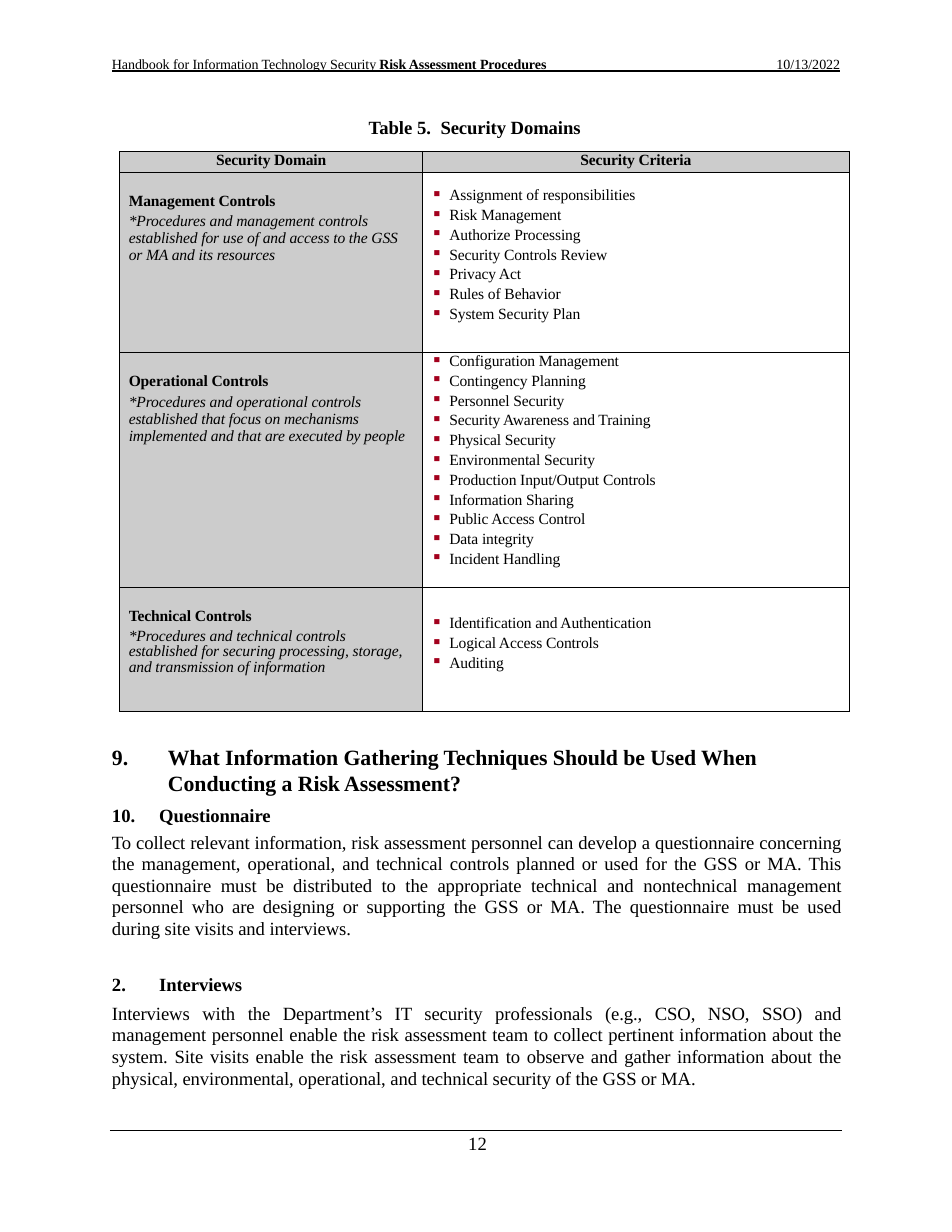
from dataclasses import dataclass
from typing import Optional, Union

from lxml import etree
from pptx import Presentation
from pptx import util as u
from pptx.dml.color import RGBColor
from pptx.enum import shapes, text
from pptx.oxml import ns

BLACK = RGBColor(0x00, 0x00, 0x00)
GRAY = RGBColor(0xCC, 0xCC, 0xCC)
RED = RGBColor(0xA3, 0x00, 0x1D)
FONT = "Times New Roman"
LEFT, CENTER, JUSTIFY = text.PP_ALIGN.LEFT, text.PP_ALIGN.CENTER, text.PP_ALIGN.JUSTIFY


@dataclass(frozen=True)
class Run:
    words: str
    size: float = 10
    bold: bool = False
    italic: bool = False
    spacing: int = -5


@dataclass(frozen=True)
class Paragraph:
    runs: tuple[Run, ...]
    align: int = LEFT
    before: float = 0
    line: Optional[Union[float, u.Length]] = None
    hanging: float = 0
    indent: float = 0
    bullet: str = ""
    number: int = 0


@dataclass(frozen=True)
class Domain:
    name: str
    description: str
    criteria: tuple[str, ...]
    height: float
    criteria_top: float
    line: Union[float, u.Length] = u.Pt(10.9)


DOMAINS = (
    Domain("Management Controls",
           "*Procedures and management controls established for use of and access "
           "to the GSS or MA and its resources",
           ("Assignment of responsibilities", "Risk Management", "Authorize Processing",
            "Security Controls Review", "Privacy Act", "Rules of Behavior",
            "System Security Plan"), 4.09, 0.33),
    Domain("Operational Controls",
           "*Procedures and operational controls established that focus on mechanisms "
           "implemented and that are executed by people",
           ("Configuration Management", "Contingency Planning", "Personnel Security",
            "Security Awareness and Training", "Physical Security",
            "Environmental Security", "Production Input/Output Controls",
            "Information Sharing", "Public Access Control", "Data integrity",
            "Incident Handling"), 5.33, 0),
    Domain("Technical Controls",
           "*Procedures and technical controls established for securing processing, "
           "storage, and transmission of information",
           ("Identification and Authentication", "Logical Access Controls", "Auditing"),
           2.8, 0.62, 0.91),
)

QUESTIONNAIRE = (
    "To collect relevant information, risk assessment personnel can develop a "
    "questionnaire concerning the management, operational, and technical controls "
    "planned or used for the GSS or MA. This questionnaire must be distributed to the "
    "appropriate technical and nontechnical management personnel who are designing or "
    "supporting the GSS or MA. The questionnaire must be used during site visits and "
    "interviews."
)
INTERVIEWS = (
    "Interviews with the Department’s IT security professionals (e.g., CSO, NSO, SSO) "
    "and management personnel enable the risk assessment team to collect pertinent "
    "information about the system. Site visits enable the risk assessment team to "
    "observe and gather information about the physical, environmental, operational, and "
    "technical security of the GSS or MA."
)


def add_element(parent, tag: str, **attributes: str):
    element = etree.SubElement(parent, ns.qn(tag))
    for name, value in attributes.items():
        element.set(name, value)
    return element


def write(frame, paragraphs: list[Paragraph]) -> None:
    for index, item in enumerate(paragraphs):
        paragraph = frame.add_paragraph() if index else frame.paragraphs[0]
        paragraph.alignment = item.align
        paragraph.space_before = u.Pt(item.before)
        if item.line is not None:
            paragraph.line_spacing = item.line
        properties = paragraph._p.get_or_add_pPr()
        properties.set("marL", str(u.Cm(item.indent)))
        properties.set("indent", str(-u.Cm(item.hanging)))
        if item.bullet:
            color = add_element(properties, "a:buClr")
            add_element(color, "a:srgbClr", val=str(RED))
            add_element(properties, "a:buChar", char=item.bullet)
        elif item.number:
            add_element(properties, "a:buAutoNum", type="arabicPeriod",
                        startAt=str(item.number))
        else:
            add_element(properties, "a:buNone")
        for part in item.runs:
            run = paragraph.add_run()
            run.text = part.words
            run.font.name = FONT
            run.font.size = u.Pt(part.size)
            run.font.bold = part.bold
            run.font.italic = part.italic
            run.font.color.rgb = BLACK
            run._r.get_or_add_rPr().set("spc", str(part.spacing))


def add_text(slide, left: float, top: float, width: float, height: float,
             paragraphs: list[Paragraph], inset: float = 0.03) -> None:
    frame = slide.shapes.add_textbox(u.Cm(left), u.Cm(top), u.Cm(width), u.Cm(height)).text_frame
    frame.word_wrap = True
    frame.margin_left, frame.margin_top = u.Cm(0.03), u.Cm(inset)
    frame.margin_right = frame.margin_bottom = 0
    write(frame, paragraphs)


def add_rule(slide, left: float, right: float, y: float) -> None:
    rule = slide.shapes.add_connector(shapes.MSO_CONNECTOR.STRAIGHT,
                                      u.Cm(left), u.Cm(y), u.Cm(right), u.Cm(y))
    rule.line.color.rgb = BLACK
    rule.line.width = u.Pt(0.72)
    add_element(rule._element.spPr, "a:effectLst")


def fill_cell(cell, paragraphs: list[Paragraph], top: float = 0, shaded: bool = False,
              left: float = 0, right: float = 0) -> None:
    cell.margin_left, cell.margin_right = u.Cm(left), u.Cm(right)
    cell.margin_top, cell.margin_bottom = u.Cm(top), 0
    write(cell.text_frame, paragraphs)
    properties = cell._tc.get_or_add_tcPr()
    for side in ("a:lnL", "a:lnR", "a:lnT", "a:lnB"):
        border = add_element(properties, side, w=str(u.Pt(0.75)))
        color = add_element(add_element(border, "a:solidFill"), "a:srgbClr")
        color.set("val", str(BLACK))
    if shaded:
        cell.fill.solid()
        cell.fill.fore_color.rgb = GRAY
    else:
        cell.fill.background()


def add_domain_table(slide) -> None:
    widths = (6.86, 9.68)
    heights = (0.48, *(domain.height for domain in DOMAINS))
    table = slide.shapes.add_table(len(heights), len(widths), u.Cm(2.72), u.Cm(3.43),
                                   u.Cm(sum(widths)), u.Cm(sum(heights))).table
    table.first_row = table.horz_banding = False
    for column, width in zip(table.columns, widths):
        column.width = u.Cm(width)
    for row, height in zip(table.rows, heights):
        row.height = u.Cm(height)
    for index, title in enumerate(("Security Domain", "Security Criteria")):
        fill_cell(table.cell(0, index), [Paragraph((Run(title, bold=True),), CENTER)],
                  shaded=True)
    for index, domain in enumerate(DOMAINS, 1):
        fill_cell(table.cell(index, 0), [
            Paragraph((Run(domain.name, bold=True),)),
            Paragraph((Run(domain.description, italic=True),), before=2.2, line=domain.line),
        ], top=0.46, shaded=True, left=0.2, right=0.25)
        fill_cell(table.cell(index, 1), [
            Paragraph((Run(criterion),), before=1.7, hanging=0.41, indent=0.61, bullet="▪")
            for criterion in domain.criteria
        ], top=domain.criteria_top)


def section(title: str, number: int, before: float) -> Paragraph:
    return Paragraph((Run(title, 12, True),), before=before, hanging=1.07, indent=1.07,
                     number=number)


def main() -> None:
    presentation = Presentation()
    presentation.slide_width, presentation.slide_height = u.Cm(21.59), u.Cm(27.94)
    slide = presentation.slides.add_slide(presentation.slide_layouts[6])
    add_rule(slide, 2.54, 19.05, 1.61)
    add_text(slide, 2.51, 1.22, 10.11, 0.46, [Paragraph((
        Run("Handbook for Information Technology Security ", 9),
        Run("Risk Assessment Procedures", 9, True)))])
    add_text(slide, 17.58, 1.22, 1.52, 0.46, [Paragraph((Run("10/13/2022", 9, spacing=0),))])
    add_rule(slide, 2.49, 19.1, 25.64)
    add_text(slide, 8.33, 2.59, 4.95, 0.58, [Paragraph((
        Run("Table 5.", 12, True, spacing=0), Run(" ", 12, True, spacing=300),
        Run("Security Domains", 12, True)))])
    add_text(slide, 10.49, 25.68, 0.64, 0.53, [
        Paragraph((Run("12", 12, spacing=0),), line=u.Pt(14.1), indent=0.1)], inset=0)
    add_domain_table(slide)
    add_text(slide, 2.51, 16.81, 16.59, 7.85, [
        Paragraph((Run("What Information Gathering Techniques Should be Used When "
                       "Conducting a Risk Assessment?", 14, True),),
                  line=u.Pt(16.3), hanging=1.27, indent=1.27, number=9),
        section("Questionnaire", 1, 5.2),
        Paragraph((Run(QUESTIONNAIRE, 12),), JUSTIFY, 4, 0.96),
        section("Interviews", 2, 21.6),
        Paragraph((Run(INTERVIEWS, 12),), JUSTIFY, 4.3, u.Pt(13.9)),
    ], inset=0.08)
    presentation.save("out.pptx")


if __name__ == "__main__":
    main()
